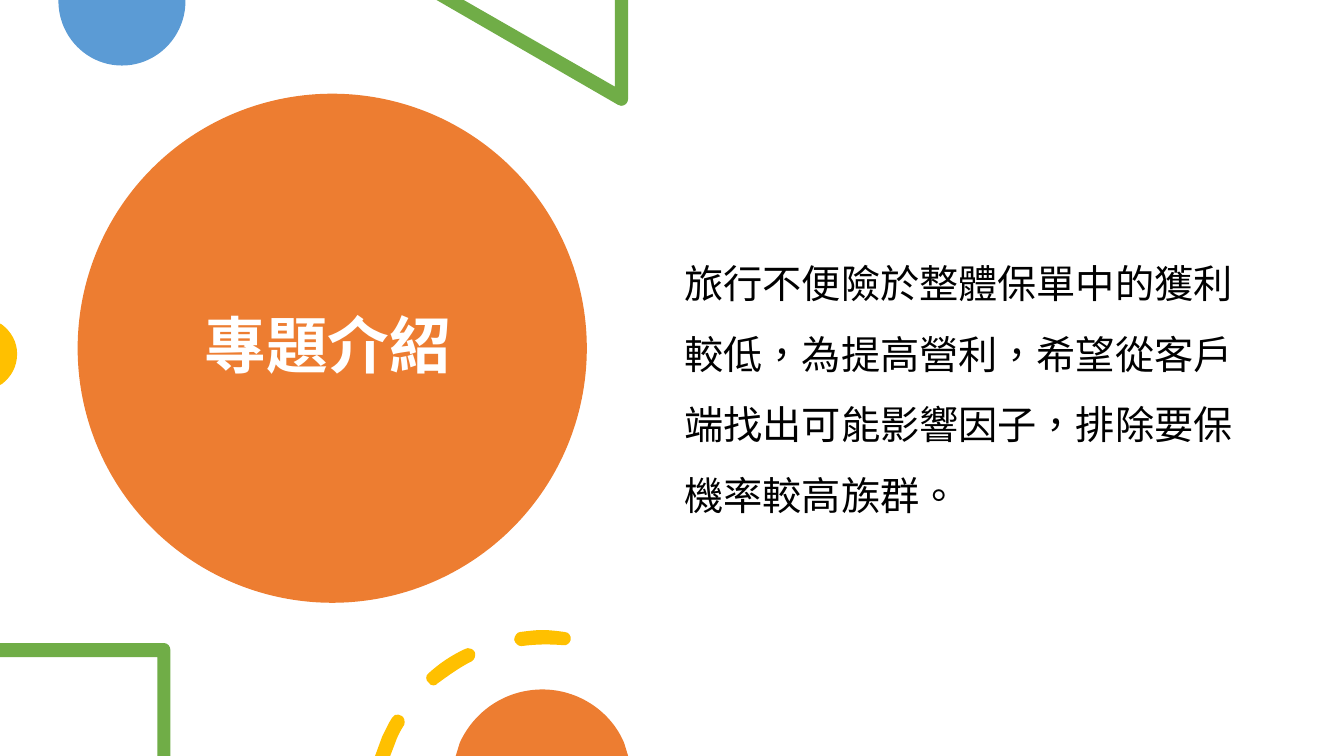
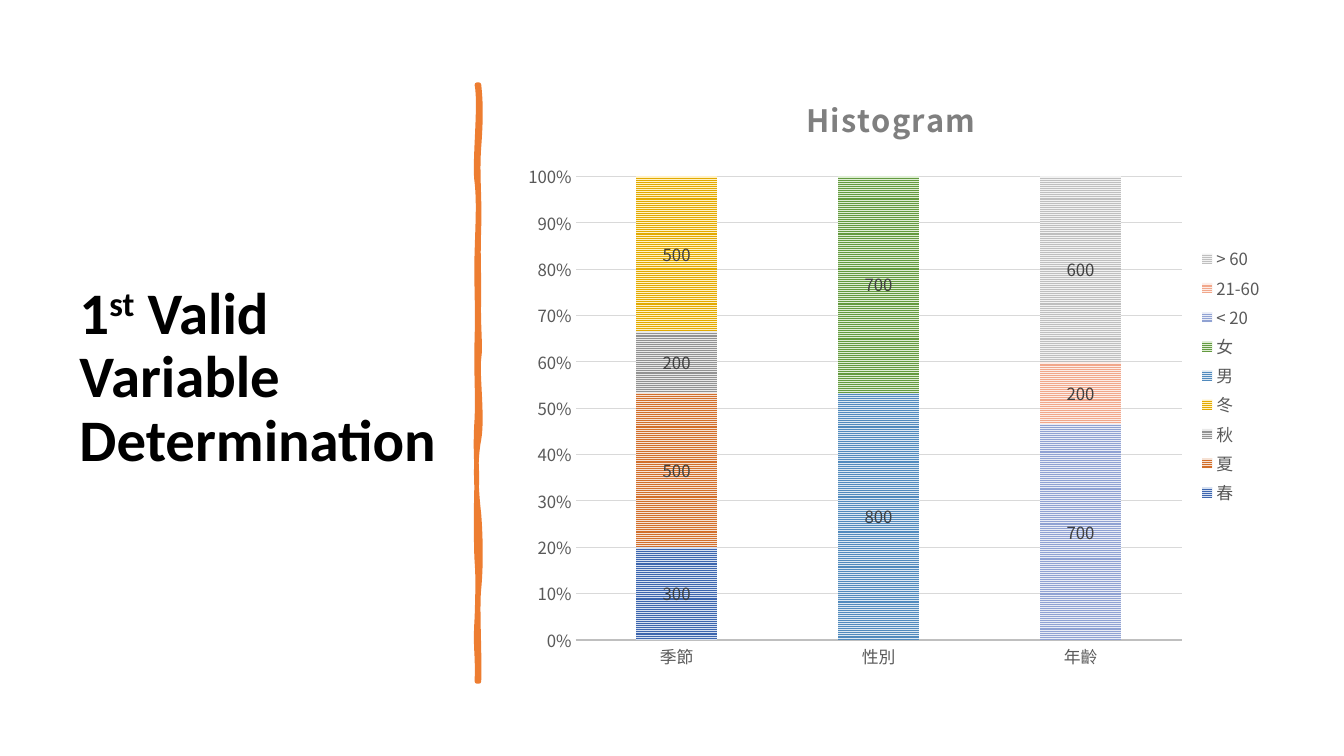
"""Build two slides: a project introduction and a stacked histogram."""
from lxml import etree
from pptx import Presentation
from pptx.chart.data import CategoryChartData
from pptx.dml.color import RGBColor
from pptx.enum.chart import XL_CHART_TYPE as ChartType, XL_LABEL_POSITION as LabelPos
from pptx.enum.chart import XL_LEGEND_POSITION as LegendPos, XL_TICK_MARK as Tick
from pptx.enum.dml import MSO_PATTERN as Pattern
from pptx.enum.shapes import MSO_SHAPE as Shape
from pptx.enum.text import MSO_ANCHOR as Anchor
from pptx.oxml.ns import qn
from pptx.util import Inches, Pt

ORANGE = RGBColor(0xED, 0x7D, 0x31)
BLUE = RGBColor(0x5B, 0x9B, 0xD5)
GREEN = RGBColor(0x70, 0xAD, 0x47)
YELLOW = RGBColor(0xFF, 0xC0, 0x00)
WHITE = RGBColor(0xFF, 0xFF, 0xFF)
BLACK = RGBColor(0x00, 0x00, 0x00)
HEADING_GREY = RGBColor(0x7F, 0x7F, 0x7F)
AXIS_GREY = RGBColor(0x59, 0x59, 0x59)
LABEL_GREY = RGBColor(0x40, 0x40, 0x40)
BASE_GREY = RGBColor(0xBF, 0xBF, 0xBF)
GRID_GREY = RGBColor(0xD9, 0xD9, 0xD9)
LATIN, CJK = "Calibri", "Noto Sans CJK SC"
TITLE = dict(font=LATIN, bold=True, anchor=Anchor.MIDDLE, spacing=0.9)


def add_text(slide, box, pieces, size, color, font=CJK, bold=False,
             anchor=Anchor.TOP, spacing=1.0, after=0, lang="zh-TW"):
    """Add a text box of (text, baseline) pieces."""
    frame = slide.shapes.add_textbox(*map(Inches, box)).text_frame
    frame.word_wrap = True
    frame.vertical_anchor = anchor
    paragraph = frame.paragraphs[0]
    paragraph.line_spacing = spacing
    paragraph.space_after = Pt(after)
    for text, baseline in pieces:
        run = paragraph.add_run()
        run.text = text
        run.font.size, run.font.bold, run.font.name = Pt(size), bold, font
        run.font.color.rgb = color
        properties = run.font._element
        properties.set("lang", lang)
        if baseline:
            properties.set("baseline", str(baseline * 1000))
        etree.SubElement(properties, qn("a:ea")).set("typeface", CJK)


def add_outline(slide, contours, color, line_width=0):
    """Draw closed contours of points (x, y) and cubic curves (six numbers)."""
    builder = slide.shapes.build_freeform(*map(Inches, contours[0][0]))
    for i, (start, *steps) in enumerate(contours):
        if i:
            builder.move_to(*map(Inches, start))
        builder.add_line_segments([tuple(map(Inches, step[-2:])) for step in steps], close=True)
    outline = builder.convert_to_shape()
    steps = [step for contour in contours for step in contour[1:]]
    for segment, step in zip(outline._element.findall(".//" + qn("a:lnTo")), steps):
        if len(step) == 6:
            curve = etree.Element(qn("a:cubicBezTo"))
            for x, y in zip(step[::2], step[1::2]):
                point = etree.SubElement(curve, qn("a:pt"))
                point.set("x", str(Inches(x) - outline.left))
                point.set("y", str(Inches(y) - outline.top))
            segment.getparent().replace(segment, curve)
    outline.shadow.inherit = False
    outline.fill.solid()
    outline.fill.fore_color.rgb = color
    if line_width:
        outline.line.color.rgb = color
        outline.line.width = Pt(line_width)
    else:
        outline.line.fill.background()


deck = Presentation()
deck.slide_width, deck.slide_height = Inches(13.33), Inches(7.5)
blank = deck.slide_layouts[6]

intro = deck.slides.add_slide(blank)
disc = intro.shapes.add_shape(Shape.OVAL, Inches(0.77), Inches(0.93), Inches(5.05), Inches(5.05))
disc.shadow.inherit = False
disc.fill.solid()
disc.fill.fore_color.rgb = ORANGE
disc.line.fill.background()
add_text(intro, (1.93, 1.23, 2.74, 4.45), [("專題介紹", 0)], 44, WHITE, **TITLE)

top_disc = [(1.84, 0), (0.58, 0), (0.58, 0.01), (0.58, 0.36, 0.86, 0.65, 1.21, 0.65),
            (1.56, 0.65, 1.84, 0.36, 1.84, 0.01)]
triangle = [(6.23, 0), (6.1, 0), (6.1, 0.86), (4.6, 0), (4.33, 0), (6.13, 1.04),
            (6.14, 1.05, 6.15, 1.05, 6.16, 1.05), (6.2, 1.05, 6.23, 1.02, 6.23, 0.98)]
left_disc = [(0, 3.21), (0, 3.82), (0.02, 3.81), (0.11, 3.74, 0.17, 3.64, 0.17, 3.51),
             (0.17, 3.39, 0.11, 3.29, 0.02, 3.22)]
corner = [(1.63, 6.38), (0, 6.38), (0, 6.52), (1.56, 6.52), (1.56, 7.5), (1.69, 7.5),
          (1.69, 6.45), (1.69, 6.41, 1.66, 6.38, 1.63, 6.38)]
low_dash = [(3.95, 7.09), (3.93, 7.08, 3.9, 7.1, 3.89, 7.12),
            (3.85, 7.18, 3.82, 7.25, 3.79, 7.31), (3.72, 7.5), (3.87, 7.5), (3.92, 7.37),
            (3.94, 7.31, 3.97, 7.25, 4.01, 7.19), (4.02, 7.16, 4.01, 7.11, 3.98, 7.1),
            (3.97, 7.09, 3.96, 7.09, 3.95, 7.09)]
middle_dash = [(4.64, 6.43), (4.63, 6.43, 4.62, 6.43, 4.61, 6.44),
               (4.48, 6.5, 4.36, 6.58, 4.25, 6.68), (4.22, 6.7, 4.22, 6.75, 4.25, 6.77),
               (4.26, 6.79, 4.28, 6.8, 4.3, 6.8), (4.32, 6.8, 4.33, 6.79, 4.34, 6.78),
               (4.45, 6.7, 4.56, 6.62, 4.68, 6.56), (4.71, 6.54, 4.72, 6.5, 4.71, 6.47),
               (4.69, 6.44, 4.67, 6.43, 4.64, 6.43)]
top_dash = [(5.38, 6.25), (5.31, 6.25, 5.24, 6.26, 5.16, 6.27),
            (5.13, 6.27, 5.1, 6.31, 5.1, 6.35), (5.11, 6.38, 5.14, 6.41, 5.17, 6.41),
            (5.32, 6.39, 5.45, 6.39, 5.58, 6.4), (5.62, 6.41, 5.65, 6.38, 5.66, 6.35),
            (5.67, 6.31, 5.64, 6.27, 5.6, 6.27), (5.53, 6.26, 5.45, 6.25, 5.38, 6.25)]
bottom_disc = [(5.38, 6.84), (5.01, 6.84, 4.7, 7.06, 4.56, 7.37), (4.52, 7.5), (6.23, 7.5),
               (6.19, 7.37), (6.06, 7.06, 5.74, 6.84, 5.38, 6.84)]
for contours, color in (([top_disc], BLUE), ([triangle], GREEN), ([left_disc], YELLOW),
                        ([corner], GREEN), ([low_dash, middle_dash, top_dash], YELLOW),
                        ([bottom_disc], ORANGE)):
    add_outline(intro, contours, color)
add_text(intro, (6.69, 2.29, 5.87, 3.05),
         [("旅行不便險於整體保單中的獲利較低，為提高營利，希望從客戶端找出可能影響因子，"
           "排除要保機率較高族群。", 0)], 28, BLACK, spacing=1.5, after=6)

histogram = deck.slides.add_slide(blank)
add_text(histogram, (0.69, 0.7, 3.74, 6.11),
         [("1", 0), ("st", 30), (" Valid Variable Determination", 0)], 42, BLACK,
         lang="en-US", **TITLE)
divider = [(4.75, 0.84), (4.77, 1.02, 4.77, 1.19, 4.75, 1.46),
           (4.73, 1.73, 4.76, 1.95, 4.75, 2.26), (4.74, 2.57, 4.75, 2.62, 4.75, 2.94),
           (4.74, 3.25, 4.77, 3.42, 4.75, 3.56), (4.73, 3.7, 4.79, 4.14, 4.75, 4.36),
           (4.71, 4.57, 4.72, 4.84, 4.75, 5.1), (4.77, 5.36, 4.77, 5.64, 4.75, 5.84),
           (4.73, 6.03, 4.76, 6.5, 4.75, 6.76), (4.73, 6.76),
           (4.74, 6.46, 4.71, 6.44, 4.73, 6.13), (4.74, 5.83, 4.74, 5.7, 4.73, 5.57),
           (4.72, 5.44, 4.72, 4.95, 4.73, 4.77), (4.73, 4.59, 4.71, 4.45, 4.73, 4.15),
           (4.74, 3.86, 4.72, 3.73, 4.73, 3.35), (4.74, 2.98, 4.72, 2.81, 4.73, 2.5),
           (4.74, 2.18, 4.75, 2, 4.73, 1.81), (4.7, 1.63, 4.77, 1.04, 4.73, 0.84)]
add_outline(histogram, [divider], ORANGE, line_width=3.25)

groups = ["季節", "性別", "年齡"]
segments = [("春", 0, 300, "3C65AE", "D6E0F1"), ("夏", 0, 500, "D26F2B", "F6E2D5"),
            ("秋", 0, 200, "929292", "E9E9E9"), ("冬", 0, 500, "E2AA00", "FFF1C6"),
            ("男", 1, 800, "518ABD", "DCE8F2"), ("女", 1, 700, "639A3F", "DFEED5"),
            ("< 20", 2, 700, "90A2D3", "E9ECF6"), ("21-60", 2, 200, "F1A78B", "FCEDE8"),
            ("> 60", 2, 600, "BFBFBF", "F2F2F2")]
counts = CategoryChartData()
counts.categories = groups
for name, group, count, _, _ in segments:
    counts.add_series(name, [count if i == group else None for i in range(len(groups))])
chart_width, chart_height = 7.55, 6.05
chart = histogram.shapes.add_chart(ChartType.COLUMN_STACKED_100, Inches(5.08), Inches(0.7),
                                   Inches(chart_width), Inches(chart_height), counts).chart
chart.font.name, chart.font.size = CJK, Pt(10)
chart.font.color.rgb = BLACK

chart.has_title = True
heading = chart.chart_title.text_frame.paragraphs[0].add_run()
heading.text = "Histogram"
heading.font.name, heading.font.size, heading.font.bold = CJK, Pt(22), True
heading.font.color.rgb = HEADING_GREY
heading.font._element.set("spc", "100")

chart.has_legend = True
chart.legend.position = LegendPos.RIGHT
chart.legend.include_in_layout = False
shares, categories = chart.value_axis, chart.category_axis
for part in (chart.legend, shares.tick_labels, categories.tick_labels):
    part.font.name, part.font.size = CJK, Pt(12)
    part.font.color.rgb = AXIS_GREY
for axis in (shares, categories):
    axis.major_tick_mark = axis.minor_tick_mark = Tick.NONE
shares.tick_labels.number_format = "0%"
shares.tick_labels.number_format_is_linked = False
shares.major_unit = 0.1
shares.format.line.fill.background()
for line, color, width in ((shares.major_gridlines.format.line, GRID_GREY, 0.75),
                           (categories.format.line, BASE_GREY, 1.5)):
    line.color.rgb = color
    line.width = Pt(width)

plot = chart.plots[0]
plot.gap_width, plot.overlap, plot.vary_by_categories = 150, 100, False
for series, (_, _, _, stripe, ground) in zip(plot.series, segments):
    fill = series.format.fill
    fill.patterned()
    fill.pattern = Pattern.NARROW_HORIZONTAL
    fill.fore_color.rgb = RGBColor.from_string(stripe)
    fill.back_color.rgb = RGBColor.from_string(ground)
    labels = series.data_labels
    labels.show_value = True
    labels.position = LabelPos.CENTER
    labels.font.name, labels.font.size = CJK, Pt(12)
    labels.font.color.rgb = LABEL_GREY

plot_place = dict(layoutTarget="inner", xMode="edge", yMode="edge", x=0.63 / chart_width,
                  y=1.05 / chart_height, w=6.01 / chart_width, h=4.6 / chart_height)
title_place = dict(xMode="edge", yMode="edge", x=2.86 / chart_width, y=0.17 / chart_height)
for tag, index, place in (("c:plotArea", 0, plot_place), ("c:title", 1, title_place)):
    area = chart.element.find(".//" + qn(tag))
    for old in area.findall(qn("c:layout")):
        area.remove(old)
    layout = etree.Element(qn("c:layout"))
    manual = etree.SubElement(layout, qn("c:manualLayout"))
    for key, value in place.items():
        etree.SubElement(manual, qn("c:" + key)).set("val", str(value))
    area.insert(index, layout)

deck.save("out.pptx")
